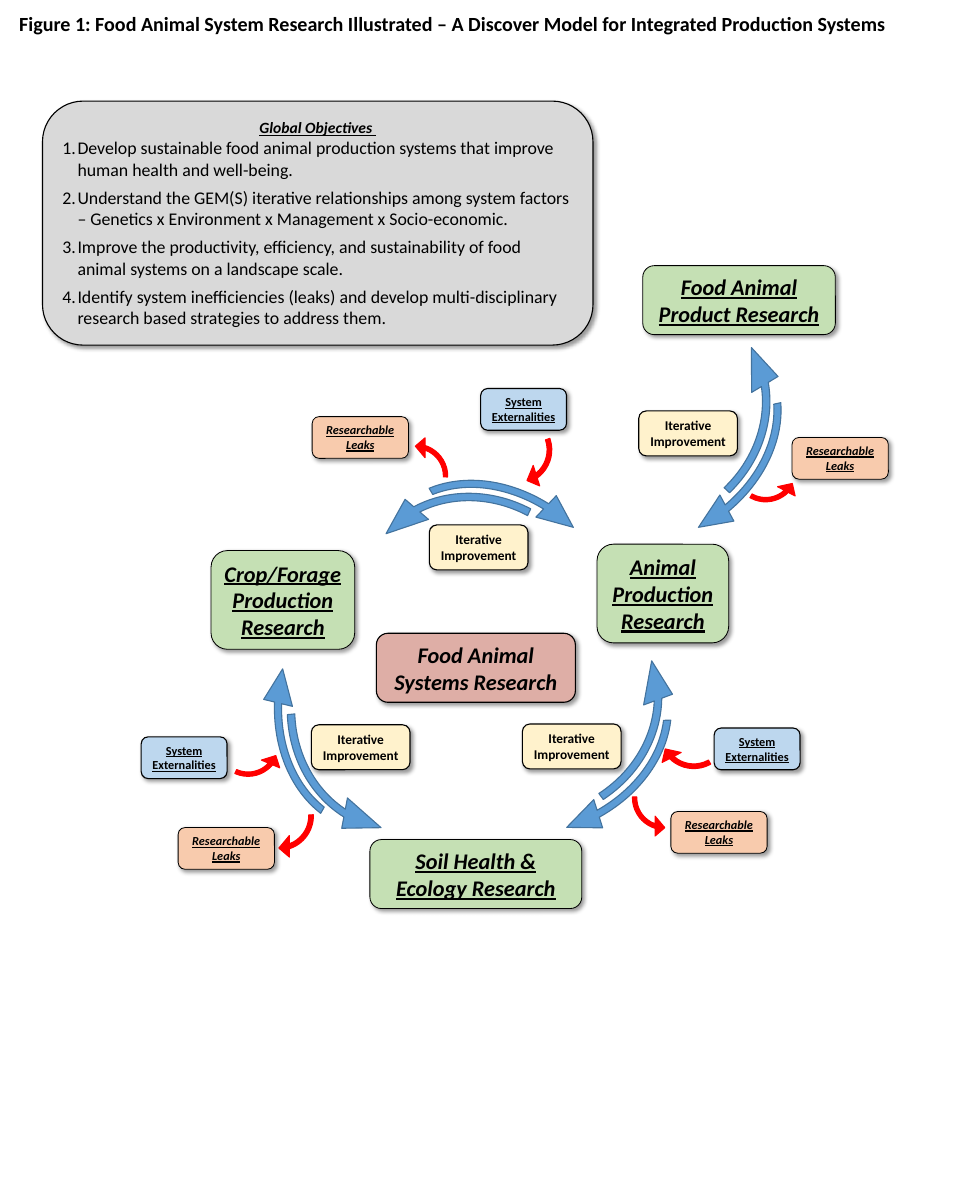
from lxml import etree
from pptx import Presentation
from pptx.dml.color import RGBColor
from pptx.enum.shapes import MSO_SHAPE
from pptx.enum.text import MSO_ANCHOR, MSO_AUTO_SIZE, PP_ALIGN
from pptx.oxml import parse_xml
from pptx.oxml.ns import nsdecls, qn
from pptx.util import Inches, Pt

BLACK = RGBColor(0x00, 0x00, 0x00)
GREY = RGBColor(0xD9, 0xD9, 0xD9)
GREEN = RGBColor(0xC5, 0xE0, 0xB4)
YELLOW = RGBColor(0xFF, 0xF2, 0xCC)
ORANGE = RGBColor(0xF8, 0xCB, 0xAD)
LIGHT_BLUE = RGBColor(0xBD, 0xD7, 0xEE)
ROSE = RGBColor(0xDE, 0xAE, 0xA6)
RED = RGBColor(0xFF, 0x00, 0x00)
BLUE = RGBColor(0x5B, 0x9B, 0xD5)
DARK_BLUE = RGBColor(0x43, 0x73, 0x9E)

SHADOW = (
    f'<a:effectLst {nsdecls("a")}>'
    '<a:outerShdw blurRad="50800" dist="38100" dir="2700000" algn="tl" rotWithShape="0">'
    '<a:srgbClr val="000000"><a:alpha val="40000"/></a:srgbClr>'
    '</a:outerShdw></a:effectLst>'
)

TITLE = ("Figure 1: Food Animal System Research Illustrated – "
         "A Discover Model for Integrated Production Systems")
OBJECTIVES = [
    "Develop sustainable food animal production systems that improve human health and well-being.",
    "Understand the GEM(S) iterative relationships among system factors "
    "– Genetics x Environment x Management x Socio-economic.",
    "Improve the productivity, efficiency, and sustainability of food animal systems "
    "on a landscape scale.",
    "Identify system inefficiencies (leaks) and develop multi-disciplinary research based "
    "strategies to address them.",
]
RESEARCH_AREAS = [
    ("Soil Health & Ecology Research", 4.61, 10.46, 2.64, 0.86),
    ("Crop/Forage Production Research", 2.63, 6.86, 1.79, 1.23),
    ("Animal Production Research", 7.44, 6.78, 1.64, 1.23),
    ("Food Animal Product Research", 8.01, 3.31, 2.4, 0.86),
]
IMPROVEMENTS = [(7.96, 5.12), (5.35, 6.54), (6.51, 9.02), (3.88, 9.03)]
LEAKS = [(9.87, 5.45), (3.89, 5.19), (2.22, 10.31), (8.36, 10.11)]
EXTERNALITIES = [(1.76, 9.18), (5.99, 4.84), (8.9, 9.07)]

CLOCKWISE_RED = [(2.94, 9.63, 90), (5.91, 5.07, 72.4), (8.11, 8.61, 152.4)]
COUNTER_RED = [(7.79, 9.44, 90), (4.68, 5.43, 270), (9.05, 5.35, 27.8), (2.6, 8.77, 22.8)]
BLUE_PAIRS = [
    ((3.3, 6.77), (3.28, 7.17), 193.3),
    ((4.68, 5.67), (4.24, 6.07), 313.2),
    ((5.12, 7.14), (4.89, 7.18), 72.2),
    ((6.53, 3.5), (6.26, 3.54), 61.5),
]
PAIR_TURN = 92.3
RED_BEND = (0.054, 11.423, 204.577, 160.92, 0.125)
BLUE_BEND = (0.029, 10.819, 205.355, 171.718, 0.06)


class Diagram:
    font_name = "Calibri"

    def __init__(self, slide):
        self.slide = slide

    def style(self, paragraph, size, bold=True, italic=False, underline=False):
        font = paragraph.font
        font.name = self.font_name
        font.size = Pt(size)
        font.bold = bold
        font.italic = italic
        font.underline = underline
        font.color.rgb = BLACK

    def title(self, text, left, top, width, height):
        box = self.slide.shapes.add_textbox(
            Inches(left), Inches(top), Inches(width), Inches(height))
        frame = box.text_frame
        frame.word_wrap = False
        frame.auto_size = MSO_AUTO_SIZE.SHAPE_TO_FIT_TEXT
        frame.text = text
        self.style(frame.paragraphs[0], 18)

    def shape(self, preset, left, top, width, height, fill, line, weight):
        shape = self.slide.shapes.add_shape(
            preset, Inches(left), Inches(top), Inches(width), Inches(height))
        shape.shadow.inherit = False
        shape.fill.solid()
        shape.fill.fore_color.rgb = fill
        shape.line.color.rgb = line
        shape.line.width = Pt(weight)
        return shape

    def box(self, text, left, top, width, height, fill, size, weight=1, **emphasis):
        shape = self.shape(MSO_SHAPE.ROUNDED_RECTANGLE, left, top, width, height,
                           fill, BLACK, weight)
        properties = shape._element.spPr
        properties.replace(properties.find(qn("a:effectLst")), parse_xml(SHADOW))
        frame = shape.text_frame
        frame.word_wrap = True
        frame.auto_size = MSO_AUTO_SIZE.SHAPE_TO_FIT_TEXT
        frame.vertical_anchor = MSO_ANCHOR.MIDDLE
        frame.text = text
        for paragraph in frame.paragraphs:
            paragraph.alignment = PP_ALIGN.CENTER
            self.style(paragraph, size, **emphasis)
        return frame

    def numbered(self, frame, text):
        paragraph = frame.add_paragraph()
        paragraph.text = text
        paragraph.alignment = PP_ALIGN.LEFT
        paragraph.space_after = Pt(6)
        properties = paragraph._p.get_or_add_pPr()
        properties.set("marL", str(Inches(0.19)))
        properties.set("indent", str(Inches(-0.19)))
        etree.SubElement(properties, qn("a:buAutoNum"), type="arabicPeriod")
        self.style(paragraph, 16, bold=False)

    def arrow(self, left, top, width, height, rotation, bend, fill, line, flipped=False):
        shape = self.shape(MSO_SHAPE.CIRCULAR_ARROW, left, top, width, height, fill, line, 1)
        shape.rotation = rotation % 360
        for index, value in enumerate(bend):
            shape.adjustments[index] = value
        if flipped:
            shape._element.spPr.find(qn("a:xfrm")).set("flipV", "1")


def main():
    presentation = Presentation()
    presentation.slide_width = Inches(12)
    presentation.slide_height = Inches(15)
    diagram = Diagram(presentation.slides.add_slide(presentation.slide_layouts[6]))

    diagram.title(TITLE, 0.14, 0.09, 11.05, 0.4)
    objectives = diagram.box("Global Objectives ", 0.53, 1.26, 6.86, 3.04, GREY, 14,
                             italic=True, underline=True)
    for objective in OBJECTIVES:
        diagram.numbered(objectives, objective)

    for left, top, rotation in CLOCKWISE_RED:
        diagram.arrow(left, top, 1.07, 1.07, rotation, RED_BEND, RED, RED)
    for left, top, rotation in COUNTER_RED:
        diagram.arrow(left, top, 0.99, 1, rotation, RED_BEND, RED, RED, flipped=True)
    for outer, inner, rotation in BLUE_PAIRS:
        diagram.arrow(*outer, 3.07, 3.76, rotation, BLUE_BEND, BLUE, DARK_BLUE)
        diagram.arrow(*inner, 3.52, 3.2, rotation - PAIR_TURN, BLUE_BEND, BLUE, DARK_BLUE,
                      flipped=True)

    for name, *place in RESEARCH_AREAS:
        diagram.box(name, *place, GREEN, 20, weight=0.75, italic=True, underline=True)
    for place in IMPROVEMENTS:
        diagram.box("Iterative\nImprovement", *place, 1.23, 0.56, YELLOW, 12)
    for place in LEAKS:
        diagram.box("Researchable Leaks", *place, 1.2, 0.52, ORANGE, 11, weight=0.75,
                    italic=True, underline=True)
    for place in EXTERNALITIES:
        diagram.box("System Externalities", *place, 1.07, 0.52, LIGHT_BLUE, 11, underline=True)
    diagram.box("Food Animal Systems Research", 4.69, 7.89, 2.48, 0.86, ROSE, 20, italic=True)

    presentation.save("out.pptx")


if __name__ == "__main__":
    main()
